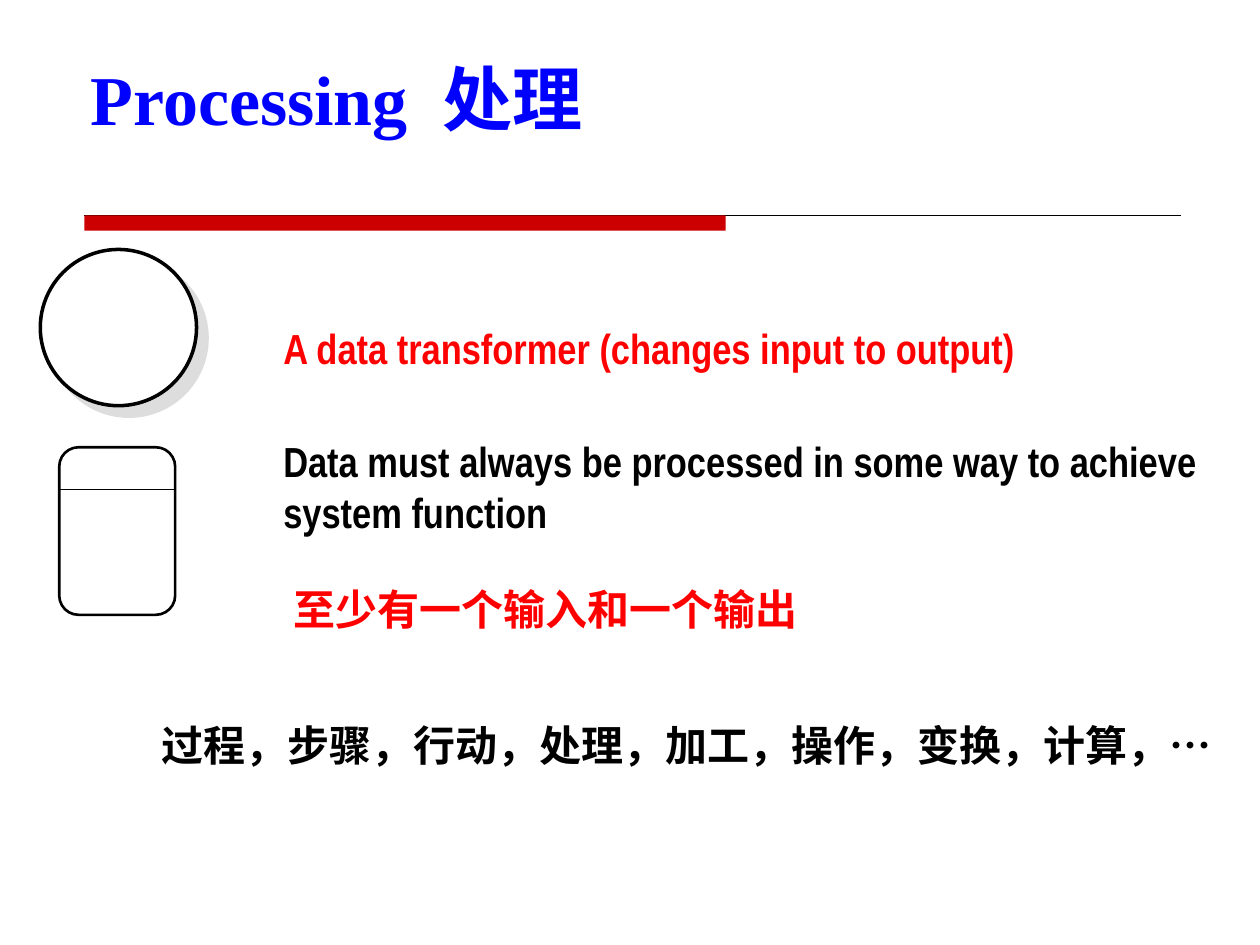
import pptx
import pptx.util
import pptx.dml.color
import pptx.enum.shapes
import pptx.enum.text
import pptx.oxml
import pptx.oxml.ns

Inches, Pt = pptx.util.Inches, pptx.util.Pt
Shape = pptx.enum.shapes.MSO_SHAPE
Text = pptx.enum.text
BLACK, WHITE, RED, BLUE, RULE = "000000", "FFFFFF", "FF0000", "0000FF", "CC0000"
HAN = "Noto Sans CJK SC"


def color(code):
    return pptx.dml.color.RGBColor.from_string(code)


def style(run, size, face, code):
    """Format a run, with one face for Latin and one for Chinese text."""
    font = run.font
    font.size, font.name, font.bold = Pt(size), face, True
    font.color.rgb = color(code)
    east = pptx.oxml.parse_xml(
        f'<a:ea {pptx.oxml.ns.nsdecls("a")} typeface="{HAN}"/>')
    run._r.get_or_add_rPr().find(pptx.oxml.ns.qn("a:latin")).addnext(east)


def effects(shape, inner=""):
    shape._element.spPr.append(pptx.oxml.parse_xml(
        f'<a:effectLst {pptx.oxml.ns.nsdecls("a")}>{inner}</a:effectLst>'))


def place(shape, box):
    shape.left, shape.top, shape.width, shape.height = map(Inches, box)


def panel(shapes, kind, box, width):
    """Add a white shape with a black outline."""
    shape = shapes.add_shape(kind, *map(Inches, box))
    shape.fill.solid()
    shape.fill.fore_color.rgb = color(WHITE)
    shape.line.color.rgb = color(BLACK)
    shape.line.width = Pt(width)
    return shape


def line(shapes, left, right, top):
    rule = shapes.add_connector(
        pptx.enum.shapes.MSO_CONNECTOR.STRAIGHT,
        Inches(left), Inches(top), Inches(right), Inches(top))
    rule.line.color.rgb = color(BLACK)
    rule.line.width = Pt(0.75)
    effects(rule)


def header(slide, box):
    """Place the title, and the rule whose left part is a thick bar."""
    left, top, width, height = box
    title = slide.shapes.title
    place(title, (left - 0.05, top, width * 0.9, 0.53))
    frame = title.text_frame
    frame.auto_size = Text.MSO_AUTO_SIZE.NONE
    frame.vertical_anchor = Text.MSO_ANCHOR.MIDDLE
    para = frame.paragraphs[0]
    para.alignment = Text.PP_ALIGN.LEFT
    for part, face in (("Processing", "Times New Roman"),
                       (" ", "Times New Roman"), ("处理", HAN)):
        run = para.add_run()
        run.text = part
        style(run, 40, face, BLUE)
    para.runs[1]._r.get_or_add_rPr().set("spc", "1000")

    base = top + height
    line(slide.shapes, left, left + width, base)
    bar = slide.shapes.add_shape(
        Shape.RECTANGLE, *map(Inches, (left, base, width * 0.585, 0.12)))
    bar.fill.solid()
    bar.fill.fore_color.rgb = color(RULE)
    bar.line.fill.background()
    bar.shadow.inherit = False


def circle(slide, box):
    """Draw the round process symbol with its hard shadow."""
    disc = panel(slide.shapes, Shape.OVAL, box, 2)
    effects(disc, '<a:outerShdw dist="107950" dir="2700000" algn="ctr" '
                  'rotWithShape="0"><a:srgbClr val="DDDDDD"/></a:outerShdw>')


def process(slide, box):
    """Draw the rounded process symbol, split a quarter of the way down."""
    left, top, width, height = box
    group = slide.shapes.add_group_shape()
    card = panel(group.shapes, Shape.FLOWCHART_ALTERNATE_PROCESS, box, 1.5)
    card.shadow.inherit = False
    line(group.shapes, left, left + width, top + height / 4)


def note(slide, box, words, face, code, space=None, wrap=True):
    shape = slide.shapes.add_textbox(*map(Inches, box))
    frame = shape.text_frame
    frame.word_wrap = wrap
    frame.auto_size = Text.MSO_AUTO_SIZE.SHAPE_TO_FIT_TEXT
    frame.text = words
    para = frame.paragraphs[0]
    para.line_spacing = space
    if not wrap:
        para.alignment = Text.PP_ALIGN.CENTER
    style(para.runs[0], 24, face, code)


def main():
    deck = pptx.Presentation()
    deck.slide_width, deck.slide_height = Inches(10), Inches(7.5)
    slide = deck.slides.add_slide(deck.slide_layouts[5])
    header(slide, (0.67, 0.51, 8.7, 1.2))
    circle(slide, (0.32, 1.98, 1.24, 1.24))
    process(slide, (0.47, 3.55, 0.92, 1.33))
    narrow = "Arial Narrow"
    note(slide, (2.15, 2.57, 7.18, 0.44),
         "A data transformer (changes input to output)", narrow, RED, 0.85)
    note(slide, (2.15, 3.41, 7.64, 0.9),
         "Data must always be processed in some way to achieve system function",
         narrow, BLACK)
    note(slide, (2.23, 4.58, 7.64, 0.5),
         "至少有一个输入和一个输出", narrow, RED)
    note(slide, (1.12, 5.66, 8.66, 0.5),
         "过程，步骤，行动，处理，加工，操作，变换，计算，…",
         "Times New Roman", BLACK, wrap=False)
    deck.save("out.pptx")


if __name__ == "__main__":
    main()
